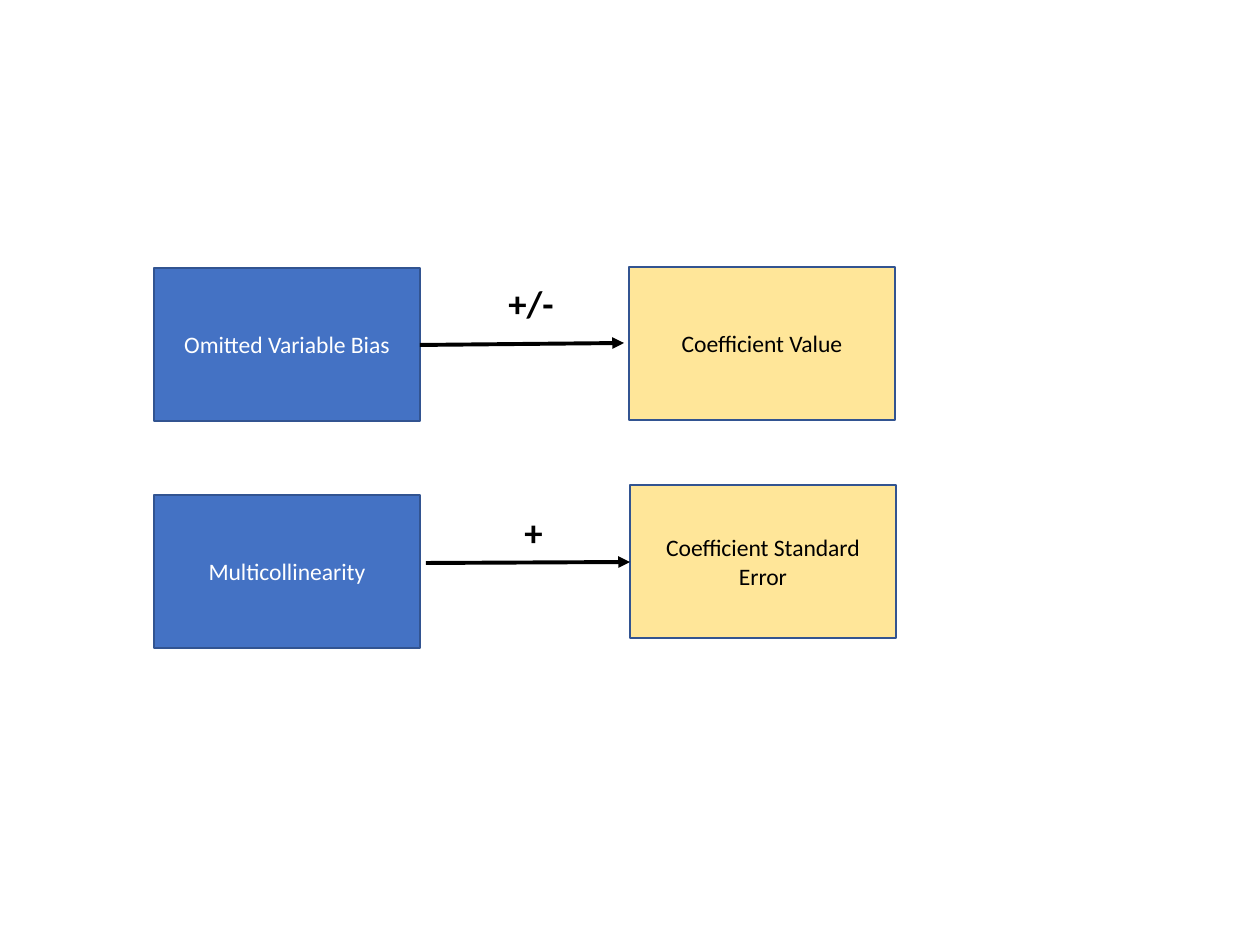
"""Build a slide on how two regression problems affect a coefficient."""
import pptx
import pptx.dml.color
import pptx.enum.shapes
import pptx.enum.text
import pptx.oxml.ns
import pptx.util
from lxml import etree

BLUE = pptx.dml.color.RGBColor(0x44, 0x72, 0xC4)
YELLOW = pptx.dml.color.RGBColor(0xFF, 0xE6, 0x99)
BORDER = pptx.dml.color.RGBColor(0x32, 0x54, 0x91)
WHITE = pptx.dml.color.RGBColor(0xFF, 0xFF, 0xFF)
BLACK = pptx.dml.color.RGBColor(0x00, 0x00, 0x00)

SLIDE_SIZE = (1260, 945)
BOX_SIZE = (266, 153)
BOXES = [
    ("Omitted Variable Bias", 154, 268, BLUE, WHITE),
    ("Multicollinearity", 154, 495, BLUE, WHITE),
    ("Coefficient Value", 629, 267, YELLOW, BLACK),
    ("Coefficient Standard Error", 630, 485, YELLOW, BLACK),
]
ARROWS = [(420, 345, 624, 343), (426, 563, 630, 562)]
SIGNS = [("+/-", 496, 275, 71, 57), ("+", 512, 504, 44, 57)]

BOX_FONT = {"name": "Calibri", "size": pptx.util.Pt(13.5)}
SIGN_FONT = {"name": "Calibri", "size": pptx.util.Pt(21), "bold": True}


def px(*lengths):
    return [round(length * 914400 / 126) for length in lengths]


def write(shape, text, font_format, color):
    paragraph = shape.text_frame.paragraphs[0]
    run = paragraph.add_run()
    run.text = text
    for name, value in font_format.items():
        setattr(run.font, name, value)
    run.font.color.rgb = color
    return paragraph


def add_box(slide, text, left, top, fill, color):
    shape = slide.shapes.add_shape(
        pptx.enum.shapes.MSO_SHAPE.RECTANGLE, *px(left, top, *BOX_SIZE))
    shape.shadow.inherit = False
    shape.fill.solid()
    shape.fill.fore_color.rgb = fill
    shape.line.color.rgb = BORDER
    shape.line.width = pptx.util.Pt(1)
    shape.text_frame.word_wrap = True
    shape.text_frame.vertical_anchor = pptx.enum.text.MSO_ANCHOR.MIDDLE
    paragraph = write(shape, text, BOX_FONT, color)
    paragraph.alignment = pptx.enum.text.PP_ALIGN.CENTER


def add_arrow(slide, ends):
    arrow = slide.shapes.add_connector(
        pptx.enum.shapes.MSO_CONNECTOR.STRAIGHT, *px(*ends))
    arrow.line.color.rgb = BLACK
    arrow.line.width = pptx.util.Pt(2.25)
    line = arrow.line._get_or_add_ln()
    etree.SubElement(line, pptx.oxml.ns.qn("a:tailEnd"), type="triangle")
    etree.SubElement(line.getparent(), pptx.oxml.ns.qn("a:effectLst"))


def add_sign(slide, text, *bounds):
    shape = slide.shapes.add_textbox(*px(*bounds))
    shape.text_frame.word_wrap = False
    shape.text_frame.auto_size = pptx.enum.text.MSO_AUTO_SIZE.SHAPE_TO_FIT_TEXT
    write(shape, text, SIGN_FONT, BLACK)


def main():
    presentation = pptx.Presentation()
    presentation.slide_width, presentation.slide_height = px(*SLIDE_SIZE)
    slide = presentation.slides.add_slide(presentation.slide_layouts[6])
    for box in BOXES:
        add_box(slide, *box)
    for ends in ARROWS:
        add_arrow(slide, ends)
    for sign in SIGNS:
        add_sign(slide, *sign)
    presentation.save("out.pptx")


if __name__ == "__main__":
    main()
